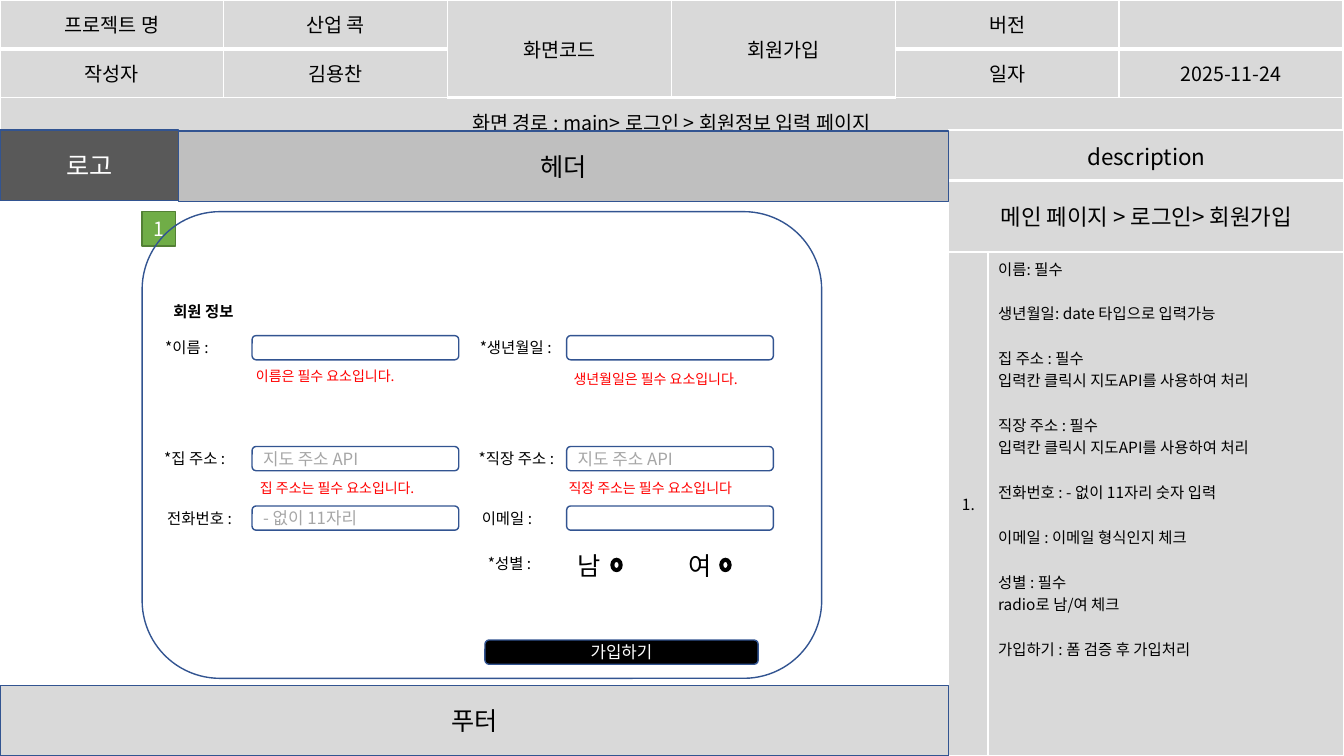
import pptx
import pptx.util
import pptx.dml.color
import pptx.enum.shapes
import pptx.enum.text
import pptx.oxml.ns
from lxml import etree

Inches, Pt = pptx.util.Inches, pptx.util.Pt
SHAPE = pptx.enum.shapes.MSO_SHAPE
ANCHOR = pptx.enum.text.MSO_ANCHOR
ALIGN = pptx.enum.text.PP_ALIGN
qn = pptx.oxml.ns.qn

FONT = "Noto Sans CJK KR"
COLORS = {
    "black": "000000", "white": "FFFFFF", "red": "FF0000", "hint": "A6A6A6",
    "cell": "D9D9D9", "header": "BFBFBF", "logo": "595959",
    "outline": "325491", "marker": "70AD47", "marker line": "538035",
}

INFO_ROWS = [
    ["프로젝트 명", "산업 콕", "화면코드", "회원가입", "버전", ""],
    ["작성자", "김용찬", "", "", "일자", "2025-11-24"],
    ["화면 경로 : main> 로그인 > 회원정보 입력 페이지", "", "", "", "", ""],
]
INFO_MERGES = [((0, 2), (1, 2)), ((0, 3), (1, 3)), ((2, 0), (2, 5))]

DESCRIPTION_TITLE = "description"
DESCRIPTION_ROUTE = "메인 페이지 > 로그인> 회원가입"
DESCRIPTION_NUMBER = "1."
DESCRIPTION_GROUPS = [
    ["이름: 필수"],
    ["생년월일: date 타입으로 입력가능"],
    ["집 주소 : 필수", "입력칸 클릭시 지도API를 사용하여 처리"],
    ["직장 주소 : 필수", "입력칸 클릭시 지도API를 사용하여 처리"],
    ["전화번호 : - 없이 11자리 숫자 입력"],
    ["이메일 : 이메일 형식인지 체크"],
    ["성별 : 필수", "radio로 남/여 체크"],
    ["가입하기 : 폼 검증 후 가입처리"],
]

# text, box, fill, line, text colour, size
BLOCKS = [
    ("헤더", (1.77, 1.3, 7.64, 0.7), "header", "outline", "black", 18),
    ("로고", (0, 1.29, 1.77, 0.7), "logo", "outline", "white", 18),
    ("푸터", (0, 6.8, 9.41, 0.7), "cell", "outline", "black", 18),
    ("1", (1.41, 2.1, 0.33, 0.34), "marker", "marker line", "white", 14),
]

# field top, label left, then (label, label width, hint) for each column
FORM_ROWS = [
    (3.33, 1.54, [("*이름 :", 0.8, ""), ("*생년월일 :", 1.05, "")]),
    (4.43, 1.53, [("*집 주소 :", 0.95, "지도 주소 API"),
                  ("*직장 주소 :", 1.1, "지도 주소 API")]),
    (5.02, 1.56, [("전화번호 :", 0.95, "- 없이 11자리"), ("이메일 :", 0.95, "")]),
]
FIELD_LEFT, COLUMN_STEP, FIELD_SIZE = 2.5, 3.12, (2.05, 0.24)

ERRORS = [
    ("이름은 필수 요소입니다.", 2.44, 3.6),
    ("생년월일은 필수 요소입니다.", 5.59, 3.63),
    ("집 주소는 필수 요소입니다.", 2.48, 4.71),
    ("직장 주소는 필수 요소입니다", 5.54, 4.71),
]
# text, text left, text width, button left
GENDERS = [("남", 5.63, 0.36, 6.06), ("여", 6.73, 0.56, 7.14)]

prs = pptx.Presentation()
prs.slide_width, prs.slide_height = Inches(13.33), Inches(7.5)
slide = prs.slides.add_slide(prs.slide_layouts[6])


def rgb(name):
    return pptx.dml.color.RGBColor.from_string(COLORS[name])


def style(p, size, color="black", align=ALIGN.LEFT, bold=False):
    p.alignment = align
    for r in p.runs:
        r.font.size, r.font.name, r.font.bold = Pt(size), FONT, bold
        r.font.color.rgb = rgb(color)
        etree.SubElement(r.font._element, qn("a:ea"), typeface=FONT)
    if not p.runs:
        etree.SubElement(p._p, qn("a:endParaRPr"), sz=str(size * 100))


def add_box(kind, box, fill, line, text="", size=12, color="black", align=ALIGN.CENTER):
    sp = slide.shapes.add_shape(kind, *map(Inches, box))
    sp.shadow.inherit = False
    if fill:
        sp.fill.solid()
        sp.fill.fore_color.rgb = rgb(fill)
    else:
        sp.fill.background()
    sp.line.color.rgb, sp.line.width = rgb(line), Pt(1)
    if text:
        tf = sp.text_frame
        tf.text, tf.vertical_anchor = text, ANCHOR.MIDDLE
        style(tf.paragraphs[0], size, color, align)


def add_label(text, left, top, width, height=0.29, size=11, color="black", bold=False):
    tf = slide.shapes.add_textbox(*map(Inches, (left, top, width, height))).text_frame
    tf.text, tf.word_wrap = text, True
    style(tf.paragraphs[0], size, color, bold=bold)


def add_table(box, widths, heights):
    table = slide.shapes.add_table(len(heights), len(widths), *map(Inches, box)).table
    for col, width in zip(table.columns, widths):
        col.width = Inches(width)
    for row, height in zip(table.rows, heights):
        row.height = Inches(height)
    return table


def format_cell(cell, bottom_width):
    """Grey fill and white borders, the bottom one of the given width."""
    tcPr = cell._tc.get_or_add_tcPr()
    for side, width in (("L", 1), ("R", 1), ("T", 1), ("B", bottom_width)):
        ln = etree.SubElement(tcPr, qn("a:ln" + side), w=str(Pt(width)))
        fill = etree.SubElement(ln, qn("a:solidFill"))
        etree.SubElement(fill, qn("a:srgbClr"), val=COLORS["white"])
    cell.fill.solid()
    cell.fill.fore_color.rgb = rgb("cell")


def fill_info_table():
    table = add_table((0, 0, 13.33, 1.29), [2.22] * 6, [0.41] * 3)
    for i, row in enumerate(INFO_ROWS):
        for j, text in enumerate(row):
            cell = table.cell(i, j)
            cell.text = text
            cell.margin_top = cell.margin_bottom = Inches(0.1)
            cell.margin_left = cell.margin_right = Inches(0.1)
            format_cell(cell, 3 if i == 0 else 1)
            style(cell.text_frame.paragraphs[0], 14, align=ALIGN.CENTER)
    for start, end in INFO_MERGES:
        table.cell(*start).merge(table.cell(*end))
        if start[0] == 0:
            table.cell(*start).vertical_anchor = ANCHOR.MIDDLE


def fill_description_table():
    table = add_table((9.41, 1.29, 3.92, 6.21), [0.39, 3.53], [0.5, 0.71, 5])
    for i in range(3):
        for j in range(2):
            format_cell(table.cell(i, j), 3 if i == 0 else 1)
    heads = [(DESCRIPTION_TITLE, 16), (DESCRIPTION_ROUTE, 16), (DESCRIPTION_NUMBER, 11)]
    for i, (text, size) in enumerate(heads):
        cell = table.cell(i, 0)
        cell.text, cell.vertical_anchor = text, ANCHOR.MIDDLE
        style(cell.text_frame.paragraphs[0], size, align=ALIGN.CENTER)
        if i < 2:
            cell.merge(table.cell(i, 1))
    tf = table.cell(2, 1).text_frame
    for g, group in enumerate(DESCRIPTION_GROUPS):
        for k, line in enumerate(group):
            p = tf.add_paragraph() if g or k else tf.paragraphs[0]
            p.text = line
            p.space_before = Pt(16 if g and k == 0 else 0)
            style(p, 11)


fill_info_table()
fill_description_table()

for text, box, fill, line, color, size in BLOCKS:
    add_box(SHAPE.RECTANGLE, box, fill, line, text, size, color)

add_label("회원 정보", 1.62, 2.95, 1.09, bold=True)
for top, label_left, columns in FORM_ROWS:
    for c, (label, width, hint) in enumerate(columns):
        shift = c * COLUMN_STEP
        add_box(SHAPE.ROUNDED_RECTANGLE, (FIELD_LEFT + shift, top, *FIELD_SIZE),
                "white", "outline", hint, 12, "hint", ALIGN.LEFT)
        add_label(label, label_left + shift, top - 0.02, width)
for text, left, top in ERRORS:
    add_label(text, left, top, 4.41, 0.27, 10, "red")

add_box(SHAPE.ROUNDED_RECTANGLE, (1.41, 2.1, 6.74, 4.63), None, "outline")

add_label("*성별 :", 4.74, 5.45, 0.95)
for text, left, width, button_left in GENDERS:
    add_label(text, left, 5.41, width, 0.4, 18)
    add_box(SHAPE.DONUT, (button_left, 5.54, 0.11, 0.13), "black", "black")

add_box(SHAPE.ROUNDED_RECTANGLE, (4.81, 6.35, 2.71, 0.24), "black", "outline",
        "가입하기", 12, "white")

prs.save("out.pptx")
